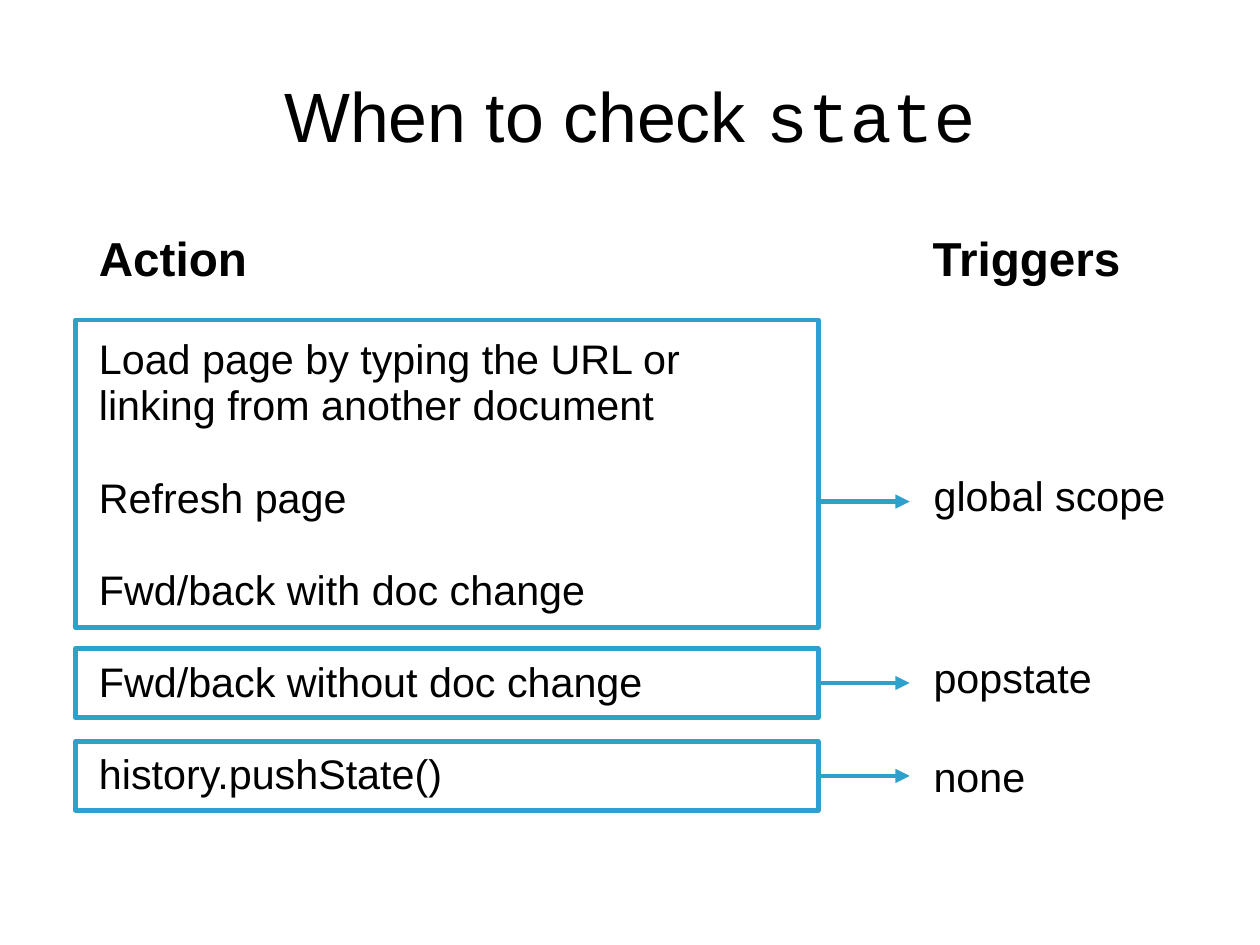
import pptx
import pptx.dml.color
import pptx.enum.shapes
import pptx.enum.text
import pptx.oxml
import pptx.oxml.ns
import pptx.util

BLACK = pptx.dml.color.RGBColor(0x00, 0x00, 0x00)
BLUE = pptx.dml.color.RGBColor(0x2D, 0xA1, 0xCB)
ANCHOR = pptx.enum.text.MSO_ANCHOR
ALIGN = pptx.enum.text.PP_ALIGN

# Horizontal and vertical places, in percent of the slide's width and height
BOX_LEFT, BOX_WIDTH = 6, 58.95
ARROW_LENGTH = 7.25
TEXT_LEFT = 7.85
LABEL_LEFT = 73.2
TRIGGER_LEFT = 74.03

ACTIONS = [
    "Load page by typing the URL or",
    "linking from another document",
    "Refresh page",
    "Fwd/back with doc change",
    "Fwd/back without doc change",
    "history.pushState()",
]
ACTION_LINE = 29  # points
# box top, box height, arrow height on the slide (None: middle of the box),
# trigger, label top, label width
GROUPS = [
    (33.86, 32.53, 53.08, "global scope", 49.46, 20.24),
    (68.65, 7.26, None, "popstate", 68.8, 14.43),
    (78.48, 7.26, None, "none", 79.2, 9.07),
]


class SlideBuilder:
    def __init__(self, deck):
        self.deck = deck
        self.slide = deck.slides.add_slide(deck.slide_layouts[0])
        self.font_name = "Arial"
        self.code_font = "Courier New"
        self.line_spacing = 0.93
        self.line_width = pptx.util.Pt(3)

    def x(self, percent):
        return round(self.deck.slide_width * percent / 100)

    def y(self, percent):
        return round(self.deck.slide_height * percent / 100)

    def area(self, left, top, width, height):
        return self.x(left), self.y(top), self.x(width), self.y(height)

    def set_frame(self, frame, insets, anchor, wrap):
        """Set the insets, in inches: left, top, right, bottom."""
        sides = [pptx.util.Inches(inset) for inset in insets]
        frame.margin_left, frame.margin_top, frame.margin_right, frame.margin_bottom = sides
        frame.vertical_anchor = anchor
        frame.word_wrap = wrap
        frame.auto_size = pptx.enum.text.MSO_AUTO_SIZE.NONE

    def set_para(self, para, size, bold=False, align=ALIGN.LEFT):
        para.alignment = align
        para.line_spacing = self.line_spacing
        para.space_before = pptx.util.Pt(0)
        para.font.name = self.font_name
        para.font.size = pptx.util.Pt(size)
        para.font.bold = bold
        para.font.color.rgb = BLACK

    def move(self, shape, area):
        shape.left, shape.top, shape.width, shape.height = area

    def title(self, text, code, area):
        title = self.slide.shapes.title
        self.move(title, area)
        self.set_frame(title.text_frame, (0, 0.04, 0, 0), ANCHOR.MIDDLE, True)
        para = title.text_frame.paragraphs[0]
        para.add_run().text = text
        span = para.add_run()
        span.text = code
        self.set_para(para, 44, align=ALIGN.CENTER)
        span.font.name = self.code_font

    def body(self, lines, area):
        """Fill the body; every line after the second stands apart."""
        body = self.slide.placeholders[1]
        self.move(body, area)
        frame = body.text_frame
        self.set_frame(frame, (0, 0.01, 0, 0), ANCHOR.TOP, True)
        frame.text = "\n".join(lines)
        for number, para in enumerate(frame.paragraphs):
            self.set_para(para, 26)
            para.line_spacing = pptx.util.Pt(ACTION_LINE)
            if number > 1:
                para.space_before = pptx.util.Pt(ACTION_LINE)

    def text(self, words, area, size, insets, anchor=ANCHOR.TOP, bold=False):
        box = self.slide.shapes.add_textbox(*area)
        self.set_frame(box.text_frame, insets, anchor, False)
        para = box.text_frame.paragraphs[0]
        para.text = words
        self.set_para(para, size, bold)

    def heading(self, words, left, width):
        self.text(words, self.area(left, 24.55, width, 5.68), 30,
                  (0, 0.03, 0, 0), ANCHOR.MIDDLE, True)

    def label(self, words, top, width):
        self.text(words, self.area(LABEL_LEFT, top, width, 6.05), 26,
                  (0.1, 0.06, 0.1, 0.05))

    def outline(self, area):
        box = self.slide.shapes.add_shape(
            pptx.enum.shapes.MSO_SHAPE.RECTANGLE, *area)
        box.shadow.inherit = False
        box.fill.background()
        box.line.color.rgb = BLUE
        box.line.width = self.line_width
        return box

    def arrow(self, box, height=None):
        """Point right from the box, at a given height or from its middle."""
        start = box.left + box.width
        level = box.top + box.height // 2 if height is None else self.y(height)
        arrow = self.slide.shapes.add_connector(
            pptx.enum.shapes.MSO_CONNECTOR.STRAIGHT,
            start, level, start + self.x(ARROW_LENGTH), level)
        if height is None:
            arrow.begin_connect(box, 3)
        arrow.line.color.rgb = BLUE
        arrow.line.width = self.line_width
        head = pptx.oxml.parse_xml(
            '<a:tailEnd %s type="triangle"/>' % pptx.oxml.ns.nsdecls("a"))
        arrow.line._get_or_add_ln().append(head)
        arrow._element.spPr.append(pptx.oxml.parse_xml(
            "<a:effectLst %s/>" % pptx.oxml.ns.nsdecls("a")))


def main():
    deck = pptx.Presentation()
    deck.slide_width = pptx.util.Cm(28)
    deck.slide_height = pptx.util.Cm(21)
    page = SlideBuilder(deck)

    page.title("When to check ", "state", page.area(5, 4, 90, 16.69))
    page.body(ACTIONS, page.area(TEXT_LEFT, 35.55, 47.37, 58.04))
    page.heading("Action", TEXT_LEFT, 13.7)
    page.heading("Triggers", TRIGGER_LEFT, 15.43)
    for top, height, arrow_height, trigger, label_top, label_width in GROUPS:
        box = page.outline(page.area(BOX_LEFT, top, BOX_WIDTH, height))
        page.arrow(box, arrow_height)
        page.label(trigger, label_top, label_width)

    deck.save("out.pptx")


if __name__ == "__main__":
    main()
